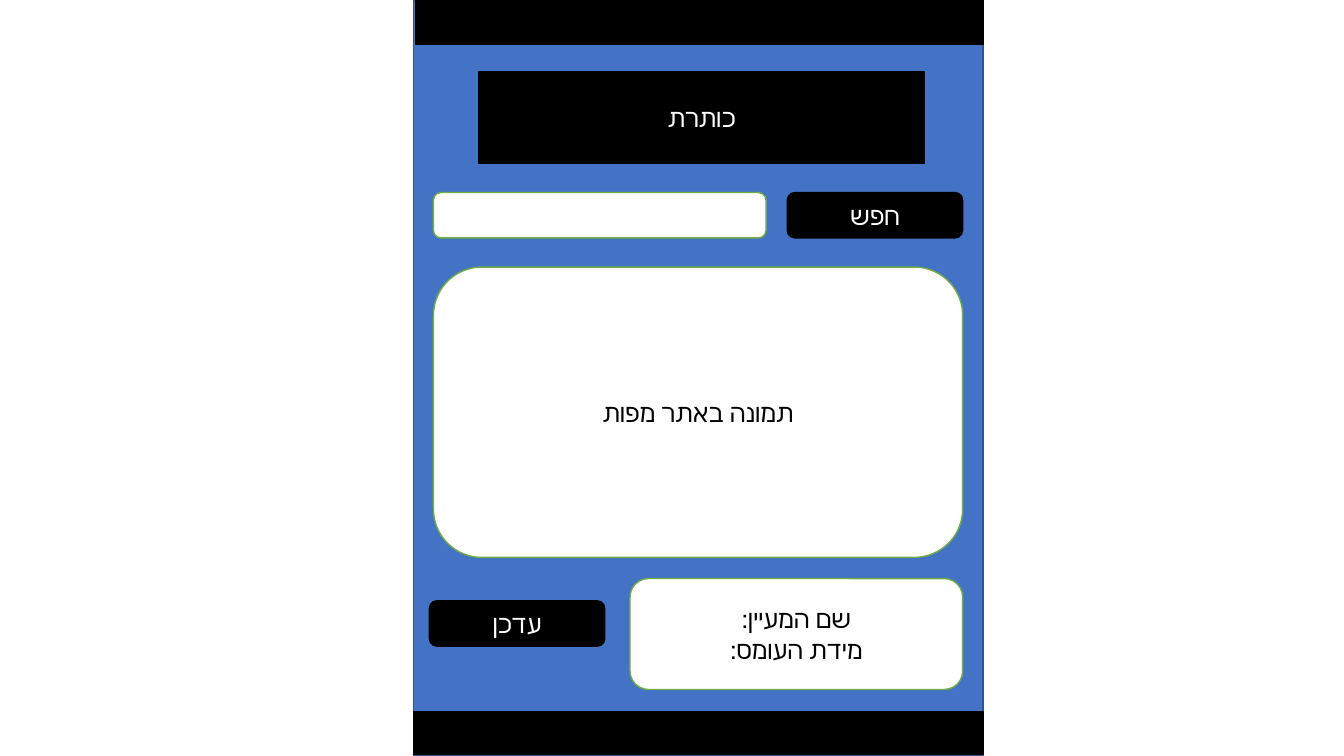
from dataclasses import dataclass

import pptx
import pptx.dml.color
import pptx.enum.shapes
import pptx.enum.text
import pptx.oxml
import pptx.oxml.ns
import pptx.util
from pptx.dml.color import RGBColor

BLACK = RGBColor(0x00, 0x00, 0x00)
WHITE = RGBColor(0xFF, 0xFF, 0xFF)
BLUE = RGBColor(0x44, 0x72, 0xC4)
NAVY = RGBColor(0x32, 0x54, 0x91)
GREEN = RGBColor(0x70, 0xAD, 0x47)

RECT = pptx.enum.shapes.MSO_SHAPE.RECTANGLE
ROUNDED = pptx.enum.shapes.MSO_SHAPE.ROUNDED_RECTANGLE
FONT = "Calibri"

SLIDE_WIDTH = pptx.util.Inches(13.33)
SLIDE_HEIGHT = pptx.util.Inches(7.5)
COLUMN = SLIDE_WIDTH / 100
ROW = SLIDE_HEIGHT / 100

SCREEN_LEFT, SCREEN_WIDTH = 30.75, 42.38
CONTENT_LEFT, CONTENT_WIDTH = 32.25, 39.38
CONTENT_RIGHT = CONTENT_LEFT + CONTENT_WIDTH
FIELD_WIDTH = 24.75
BUTTON_WIDTH, BUTTON_HEIGHT = 13.05, 6
SEARCH_TOP = 25.47


@dataclass(frozen=True)
class Style:
    fill: RGBColor
    line: RGBColor
    text: RGBColor


@dataclass(frozen=True)
class Block:
    left: float
    top: float
    width: float
    height: float
    style: Style
    lines: tuple[str, ...] = ()
    preset: pptx.enum.shapes.MSO_SHAPE = ROUNDED


SCREEN = Style(BLUE, NAVY, WHITE)
DARK = Style(BLACK, BLACK, WHITE)
LIGHT = Style(WHITE, GREEN, BLACK)

HEADING = Block(35.63, 9.47, 33.15, 12.13, DARK, ("כותרת",))

BACKDROP = Block(SCREEN_LEFT, 0, SCREEN_WIDTH, 100, SCREEN, preset=RECT)

PARTS = (
    Block(CONTENT_RIGHT - BUTTON_WIDTH, SEARCH_TOP, BUTTON_WIDTH, BUTTON_HEIGHT,
          DARK, ("חפש",)),
    Block(CONTENT_LEFT, SEARCH_TOP, FIELD_WIDTH, BUTTON_HEIGHT, LIGHT),
    Block(CONTENT_LEFT, 35.33, CONTENT_WIDTH, 38.4, LIGHT, ("תמונה באתר מפות",)),
    Block(CONTENT_RIGHT - FIELD_WIDTH, 76.53, FIELD_WIDTH, 14.67, LIGHT,
          ("שם המעיין:", "מידת העומס:")),
    Block(31.95, 79.47, BUTTON_WIDTH, BUTTON_HEIGHT, DARK, ("עדכן",)),
    Block(30.9, 0.13, 42.3, 5.73, DARK, preset=RECT),
    Block(SCREEN_LEFT, 94.13, SCREEN_WIDTH, 5.6, DARK, preset=RECT),
)


def bounds(block: Block) -> tuple[int, int, int, int]:
    return (round(block.left * COLUMN), round(block.top * ROW),
            round(block.width * COLUMN), round(block.height * ROW))


def format_block(shape, block: Block) -> None:
    shape.fill.solid()
    shape.fill.fore_color.rgb = block.style.fill
    shape.line.color.rgb = block.style.line
    shape.line.width = pptx.util.Pt(1)
    if not block.lines:
        return
    frame = shape.text_frame
    frame.text = "\n".join(block.lines)
    frame.word_wrap = True
    frame.auto_size = pptx.enum.text.MSO_AUTO_SIZE.NONE
    frame.vertical_anchor = pptx.enum.text.MSO_ANCHOR.MIDDLE
    for paragraph in frame.paragraphs:
        paragraph.alignment = pptx.enum.text.PP_ALIGN.CENTER
        paragraph.font.name = FONT
        paragraph.font.size = pptx.util.Pt(18)
        paragraph.font.color.rgb = block.style.text
        properties = paragraph._p.get_or_add_pPr()
        properties.set("rtl", "1")


def draw_block(slide, block: Block) -> None:
    shape = slide.shapes.add_shape(block.preset, *bounds(block))
    shape.shadow.inherit = False
    format_block(shape, block)


def draw_heading(slide, block: Block) -> None:
    title = slide.shapes.title
    title.left, title.top, title.width, title.height = bounds(block)
    title._element.spPr.append(pptx.oxml.parse_xml(
        f'<a:prstGeom {pptx.oxml.ns.nsdecls("a")} prst="roundRect"><a:avLst/></a:prstGeom>'))
    format_block(title, block)
    slide.shapes._spTree.append(title._element)


def main() -> None:
    presentation = pptx.Presentation()
    presentation.slide_width = SLIDE_WIDTH
    presentation.slide_height = SLIDE_HEIGHT
    slide = presentation.slides.add_slide(presentation.slide_layouts[5])
    draw_block(slide, BACKDROP)
    draw_heading(slide, HEADING)
    for part in PARTS:
        draw_block(slide, part)
    presentation.save("out.pptx")


if __name__ == "__main__":
    main()
